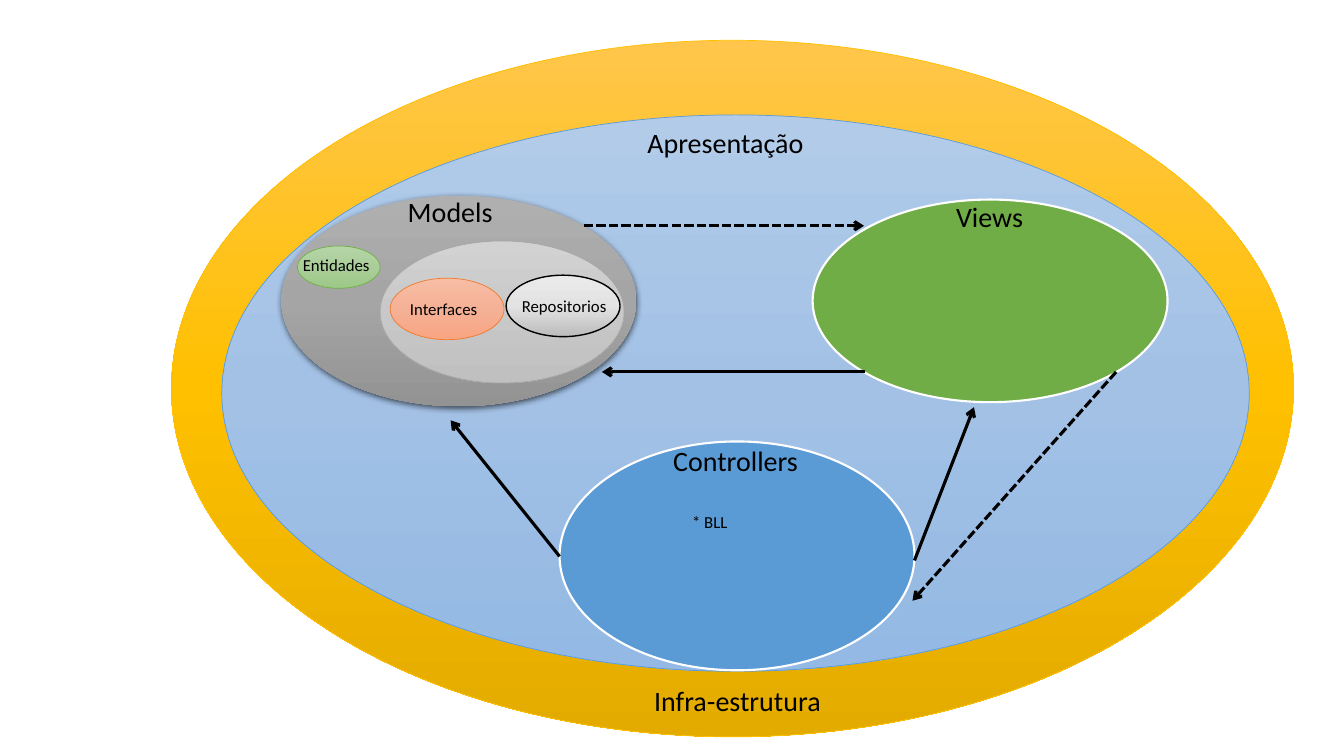
from copy import deepcopy

from pptx import Presentation
from pptx.dml.color import RGBColor
from pptx.enum.dml import MSO_LINE
from pptx.enum.shapes import MSO_CONNECTOR, MSO_SHAPE
from pptx.enum.text import MSO_ANCHOR, MSO_AUTO_SIZE, PP_ALIGN
from pptx.oxml import parse_xml
from pptx.oxml.ns import nsdecls, qn
from pptx.util import Inches, Pt

OVAL = MSO_SHAPE.OVAL
STRAIGHT = MSO_CONNECTOR.STRAIGHT
DASH = MSO_LINE.SQUARE_DOT
CENTER = PP_ALIGN.CENTER
MIDDLE = MSO_ANCHOR.MIDDLE
FIT_TEXT = MSO_AUTO_SIZE.SHAPE_TO_FIT_TEXT

BLACK = "000000"
WHITE = "FFFFFF"
LABEL_HEIGHTS = {20: 0.44, 12: 0.3}
FRAME_FORMAT = {"word_wrap": False, "auto_size": FIT_TEXT, "vertical_anchor": MIDDLE}


def color(hex_value):
    return RGBColor.from_string(hex_value)


def apply_format(target, values):
    for name, value in values.items():
        setattr(target, name, value)


def inside(box, left, top, width, height):
    return box[0] + left, box[1] + top, width, height


def fill_gradient(shape, colors):
    shape.fill.gradient()
    shape.fill.gradient_angle = 270
    stop_list = shape._element.spPr.find(qn("a:gradFill")).find(qn("a:gsLst"))
    stop_list.insert(1, deepcopy(stop_list[0]))
    for stop, position, hex_value in zip(shape.fill.gradient_stops, (0, 0.5, 1), colors):
        stop.position = position
        stop.color.rgb = color(hex_value)


def add_ellipse(slide, box, fill_colors, line_color=None, line_width=0.5):
    shape = slide.shapes.add_shape(OVAL, *map(Inches, box))
    shape.shadow.inherit = False
    if len(fill_colors) == 1:
        shape.fill.solid()
        shape.fill.fore_color.rgb = color(fill_colors[0])
    else:
        fill_gradient(shape, fill_colors)
    if line_color:
        shape.line.color.rgb = color(line_color)
        shape.line.width = Pt(line_width)
    else:
        shape.line.fill.background()
    return shape


def add_label(slide, box, text, left, top, width, size=20):
    label_box = inside(box, left, top, width, LABEL_HEIGHTS[size])
    frame = slide.shapes.add_textbox(*map(Inches, label_box)).text_frame
    apply_format(frame, FRAME_FORMAT)
    paragraph = frame.paragraphs[0]
    paragraph.text = text
    paragraph.alignment = CENTER
    apply_format(paragraph.font, {"size": Pt(size), "name": "Calibri"})
    paragraph.font.color.rgb = color(BLACK)


def add_shadow(shape):
    effects = shape._element.spPr.find(qn("a:effectLst"))
    effects.append(parse_xml(
        f'<a:outerShdw {nsdecls("a")} blurRad="57150" dist="19050" dir="5400000" '
        'algn="ctr" rotWithShape="0"><a:srgbClr val="000000">'
        '<a:alpha val="63000"/></a:srgbClr></a:outerShdw>'))


def add_arrow(slide, box, start, end, dashed=False):
    points = [box[i % 2] + value for i, value in enumerate(start + end)]
    arrow = slide.shapes.add_connector(STRAIGHT, *map(Inches, points))
    arrow.line.color.rgb = color(BLACK)
    arrow.line.width = Pt(2.25)
    if dashed:
        arrow.line.dash_style = DASH
    arrow.line._get_or_add_ln().append(
        parse_xml(f'<a:tailEnd {nsdecls("a")} type="arrow"/>'))
    arrow._element.spPr.append(parse_xml(f'<a:effectLst {nsdecls("a")}/>'))


def add_infrastructure(slide, box):
    add_ellipse(slide, box, ("FFC64B", "FFC000", "E3AB00"), "FFC000")
    add_label(slide, box, "Infra-estrutura", 4.68, 6.33, 1.87)


def add_presentation_layer(slide, box):
    add_ellipse(slide, box, ("B1CBE9", "A3C1E5", "93B9E4"), "5B9BD5")
    add_label(slide, box, "Apresentação", 4.11, 0.05, 1.77)


def add_models(slide, box):
    add_shadow(add_ellipse(slide, box, ("AFAFAF", "A5A5A5", "939393")))
    add_label(slide, box, "Models", 1.15, -0.06, 1.05)
    add_ellipse(slide, inside(box, 0.16, 0.5, 0.82, 0.42),
                ("B5D5A7", "AACE9A", "9CC987"), "70AD47")
    add_label(slide, box, "Entidades", 0.11, 0.54, 0.87, 12)
    add_data_access(slide, inside(box, 0.98, 0.45, 2.42, 1.41))


def add_data_access(slide, box):
    add_ellipse(slide, box, ("D2D2D2", "C8C8C8", "C0C0C0"), "A5A5A5")
    add_ellipse(slide, inside(box, 0.1, 0.37, 1.13, 0.61),
                ("F7BDA5", "F5B196", "F8A582"), "ED7D31")
    add_label(slide, box, "Interfaces", 0.19, 0.52, 0.88, 12)
    add_ellipse(slide, inside(box, 1.25, 0.34, 1.13, 0.61),
                ("EBEAEA", "E4E3E3", "BDBCBC"), BLACK, 1)
    add_label(slide, box, "Repositorios", 1.3, 0.49, 1.05, 12)


def add_views(slide, box):
    add_ellipse(slide, box, ("70AD47",), WHITE, 1.5)
    add_label(slide, box, "Views", 1.32, -0.05, 0.87)


def add_controllers(slide, box):
    add_ellipse(slide, box, ("5B9BD5",), WHITE, 1.5)
    add_label(slide, box, "Controllers", 1.02, -0.03, 1.45)
    add_label(slide, box, "* BLL", 1.21, 0.65, 0.56, 12)


def add_flows(slide, box):
    add_arrow(slide, box, (3.35, 4.38), (2.27, 3.03))
    add_arrow(slide, box, (6.87, 4.42), (7.46, 2.9))
    add_arrow(slide, box, (6.38, 2.55), (3.77, 2.55))
    add_arrow(slide, box, (3.59, 1.1), (6.37, 1.1), dashed=True)
    add_arrow(slide, box, (8.87, 2.55), (6.85, 4.82), dashed=True)


def build_architecture_slide(presentation):
    slide = presentation.slides.add_slide(presentation.slide_layouts[6])
    layer_box = (2.2, 1.14, 10.19, 5.52)
    add_infrastructure(slide, (1.7, 0.4, 11.13, 6.91))
    add_presentation_layer(slide, layer_box)
    add_models(slide, inside(layer_box, 0.59, 0.8, 3.52, 2.09))
    add_views(slide, inside(layer_box, 5.86, 0.84, 3.52, 2.01))
    add_controllers(slide, inside(layer_box, 3.35, 3.24, 3.52, 2.27))
    add_flows(slide, layer_box)


presentation = Presentation()
apply_format(presentation, {"slide_width": Inches(13.33), "slide_height": Inches(7.5)})
build_architecture_slide(presentation)
presentation.save("out.pptx")
